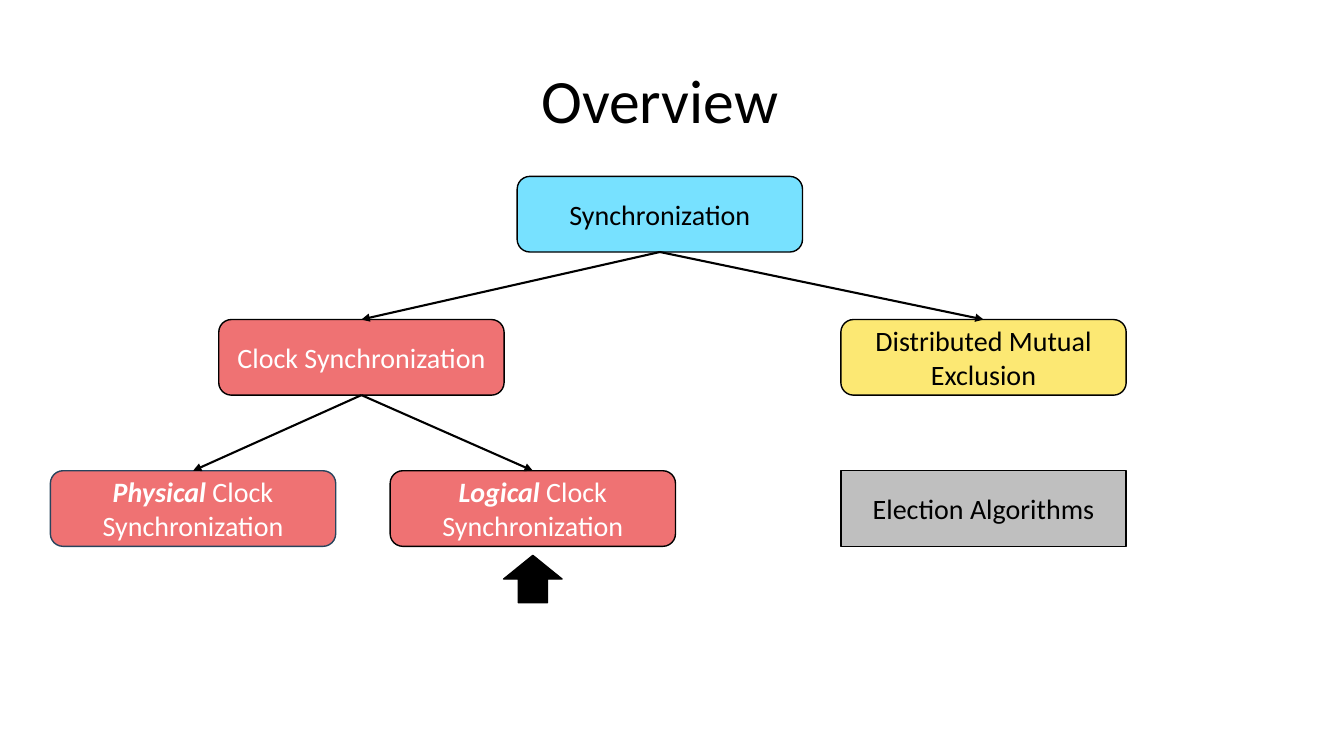
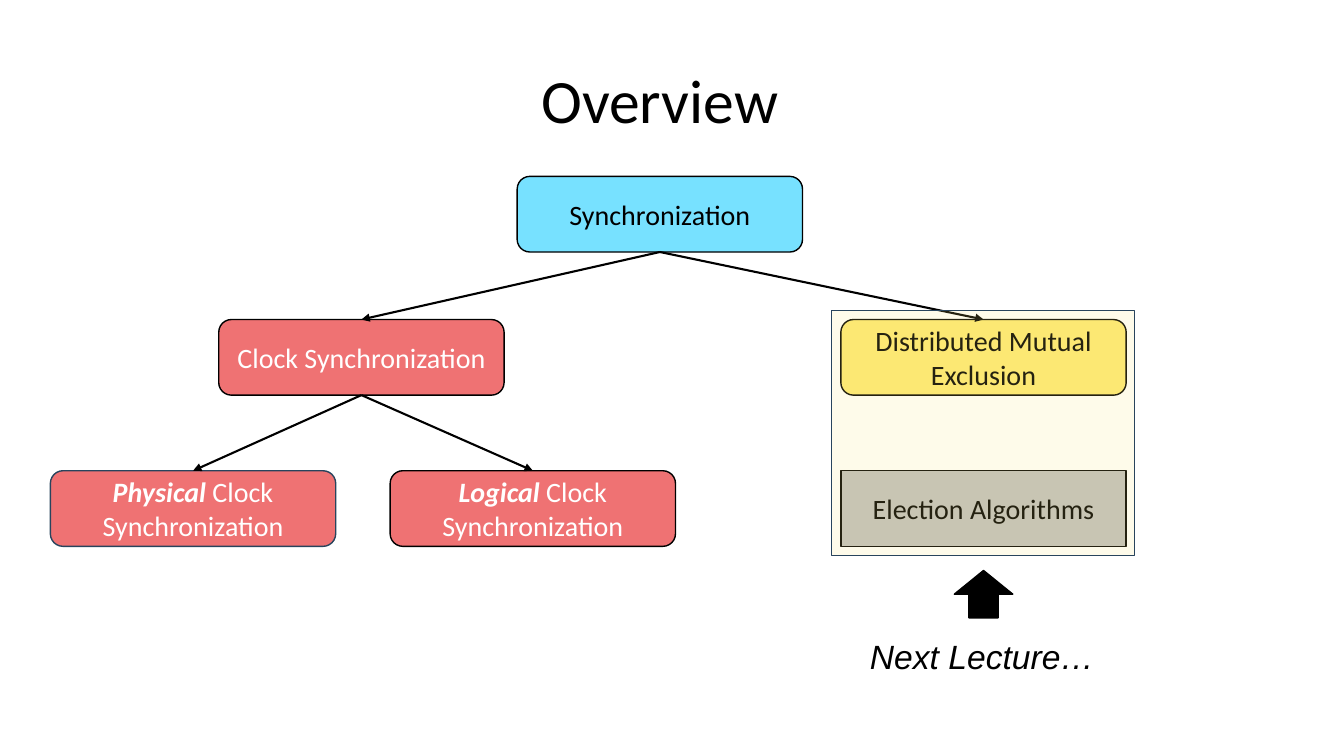
import pptx
import pptx.dml.color
import pptx.enum.shapes
import pptx.enum.text
import pptx.oxml.ns
import pptx.util
from lxml import etree

Inches = pptx.util.Inches
Pt = pptx.util.Pt
Shape = pptx.enum.shapes.MSO_SHAPE
Align = pptx.enum.text.PP_ALIGN
Anchor = pptx.enum.text.MSO_ANCHOR
qn = pptx.oxml.ns.qn

COLORS = {
    "black": "000000",
    "white": "FFFFFF",
    "blue": "77E1FF",
    "red": "EF7273",
    "yellow": "FCE873",
    "gray": "BFBFBF",
    "navy": "28445D",
}
BOX_WIDTH, BOX_HEIGHT = 2.83, 0.75
LEVEL_TOPS = (1.75, 3.17, 4.67)
RIGHT_COLUMN = 8.34
RIGHT_CENTER = RIGHT_COLUMN + BOX_WIDTH / 2
TOP_SITE, BOTTOM_SITE = 0, 2


class Deck:
    """Holds the shared style and the slide being filled."""

    def __init__(self):
        self.presentation = pptx.Presentation()
        self.presentation.slide_width = Inches(13.33)
        self.presentation.slide_height = Inches(7.5)
        self.slide = None

    def color(self, name):
        return pptx.dml.color.RGBColor.from_string(COLORS[name])

    def style_run(self, run, size, color="black", font="Calibri", bold=False, italic=False):
        run.font.size = Pt(size)
        run.font.name = font
        run.font.color.rgb = self.color(color)
        run.font.bold = bold
        run.font.italic = italic

    def new_slide(self, heading):
        layout = self.presentation.slide_layouts[5]
        self.slide = self.presentation.slides.add_slide(layout)
        title = self.slide.shapes.title
        title.left, title.top = Inches(1.92), Inches(0.3)
        title.width, title.height = Inches(9.25), Inches(1.45)
        title.text_frame.text = heading
        title.text_frame.vertical_anchor = Anchor.MIDDLE
        paragraph = title.text_frame.paragraphs[0]
        paragraph.alignment = Align.CENTER
        paragraph.line_spacing = 0.9
        self.style_run(paragraph.runs[0], 44)

    def shape(self, preset, left, top, width, height, fill, line="black"):
        shape = self.slide.shapes.add_shape(
            preset, Inches(left), Inches(top), Inches(width), Inches(height))
        shape.shadow.inherit = False
        shape.fill.solid()
        shape.fill.fore_color.rgb = self.color(fill)
        shape.line.color.rgb = self.color(line)
        shape.line.width = Pt(1)
        return shape

    def topic(self, text, left, level, fill, font_color="black", line="black",
              emphasis="", preset=Shape.ROUNDED_RECTANGLE):
        """Add a topic box; emphasis is a bold italic lead-in to its text."""
        box = self.shape(preset, left, LEVEL_TOPS[level], BOX_WIDTH, BOX_HEIGHT, fill, line)
        box.text_frame.word_wrap = True
        box.text_frame.vertical_anchor = Anchor.MIDDLE
        paragraph = box.text_frame.paragraphs[0]
        paragraph.alignment = Align.CENTER
        for part, strong in ((emphasis, True), (text, False)):
            if part:
                run = paragraph.add_run()
                run.text = part
                self.style_run(run, 20, font_color, bold=strong, italic=strong)
        return box

    def branch(self, parent, child):
        """Draw an arrow from the bottom of parent to the top of child."""
        arrow = self.slide.shapes.add_connector(
            pptx.enum.shapes.MSO_CONNECTOR.STRAIGHT, 0, 0, 0, 0)
        arrow.begin_connect(parent, BOTTOM_SITE)
        arrow.end_connect(child, TOP_SITE)
        arrow.line.color.rgb = self.color("black")
        arrow.line.width = Pt(1.5)
        etree.SubElement(arrow.line._get_or_add_ln(), qn("a:tailEnd"), type="triangle")
        etree.SubElement(arrow._element.spPr, qn("a:effectLst"))

    def pointer(self, center, top):
        """Add the arrow that marks the current topic from below."""
        width = 0.58
        self.shape(Shape.UP_ARROW, center - width / 2, top, width, 0.47, "black")

    def veil(self, left, top, width, height, fill, opacity):
        """Lay a translucent panel over a group of topics."""
        panel = self.shape(Shape.RECTANGLE, left, top, width, height, fill, "navy")
        tint = panel._element.spPr.find(qn("a:solidFill"))[0]
        etree.SubElement(tint, qn("a:alpha"), val=str(opacity * 1000))

    def caption(self, text, left, top, width, height):
        box = self.slide.shapes.add_textbox(
            Inches(left), Inches(top), Inches(width), Inches(height))
        box.text_frame.text = text
        box.text_frame.word_wrap = False
        box.text_frame.auto_size = pptx.enum.text.MSO_AUTO_SIZE.SHAPE_TO_FIT_TEXT
        self.style_run(box.text_frame.paragraphs[0].runs[0], 24, font="Arial", italic=True)

    def overview(self):
        """Add a slide with the topic tree."""
        self.new_slide("Overview")
        root = self.topic("Synchronization", 5.13, 0, "blue")
        clock = self.topic("Clock Synchronization", 2.17, 1, "red", "white")
        physical = self.topic(" Clock Synchronization", 0.5, 2, "red", "white",
                              line="navy", emphasis="Physical")
        logical = self.topic(" Clock Synchronization", 3.87, 2, "red", "white",
                             emphasis="Logical")
        exclusion = self.topic("Distributed Mutual Exclusion", RIGHT_COLUMN, 1, "yellow")
        for parent, child in ((root, clock), (root, exclusion),
                              (clock, physical), (clock, logical)):
            self.branch(parent, child)
        self.topic("Election Algorithms", RIGHT_COLUMN, 2, "gray", preset=Shape.RECTANGLE)


def main():
    deck = Deck()

    deck.overview()
    deck.pointer(3.87 + BOX_WIDTH / 2, 5.51)

    deck.overview()
    deck.pointer(RIGHT_CENTER, 5.66)
    deck.veil(8.25, 3.08, 3, 2.43, "yellow", 15)
    deck.caption("Next Lecture…", 8.53, 6.26, 2.45, 0.5)

    deck.presentation.save("out.pptx")


if __name__ == "__main__":
    main()
